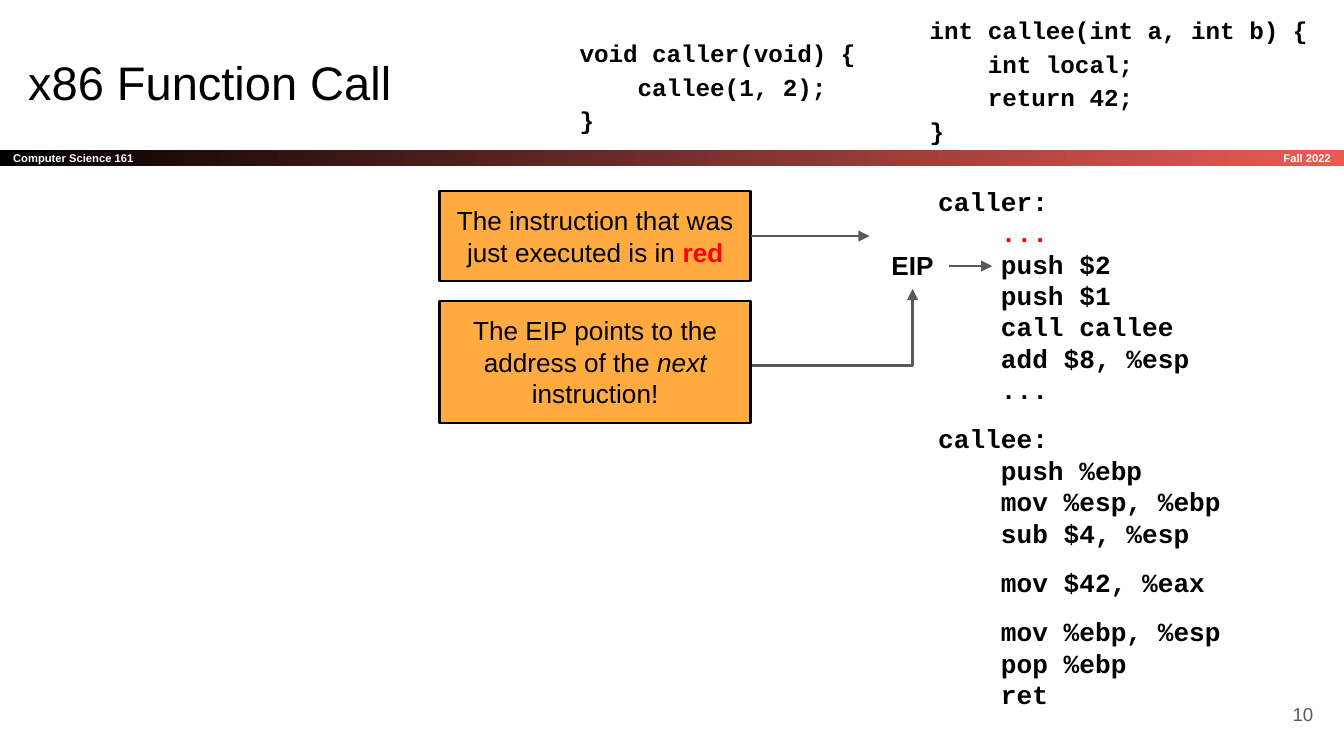
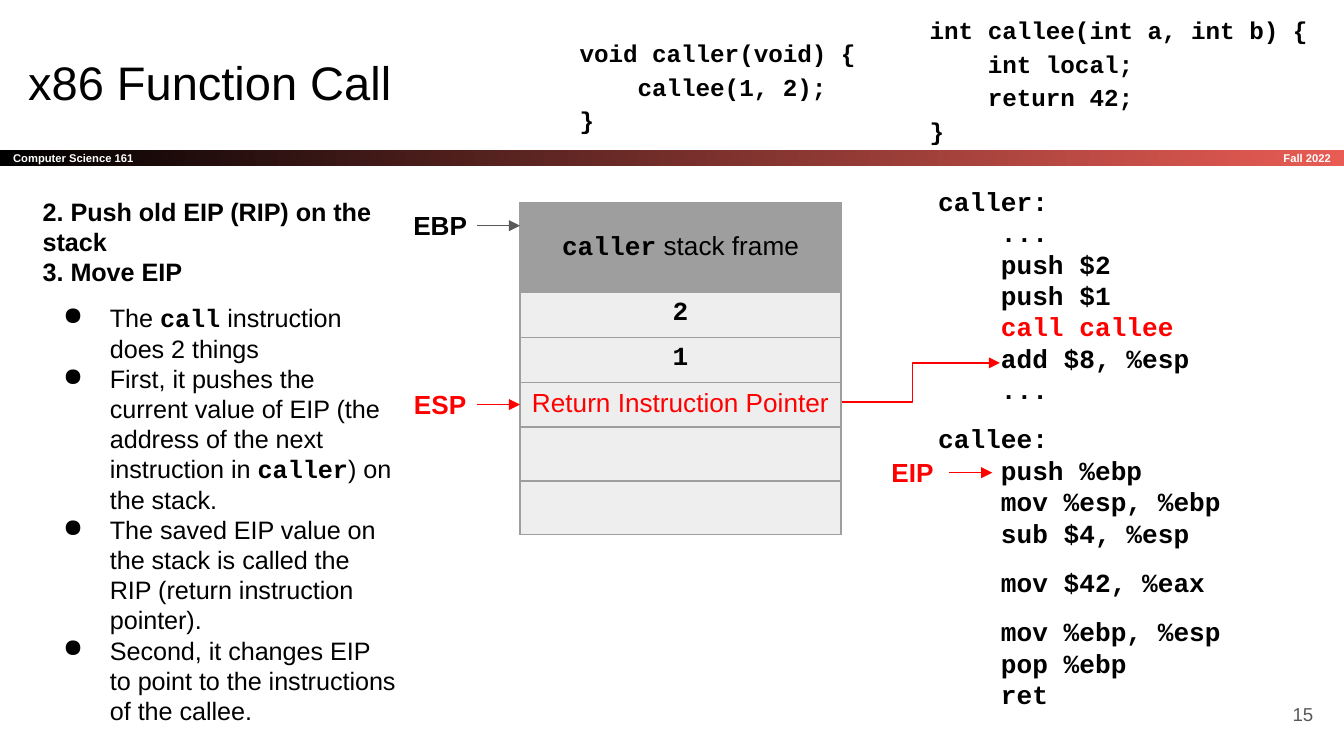
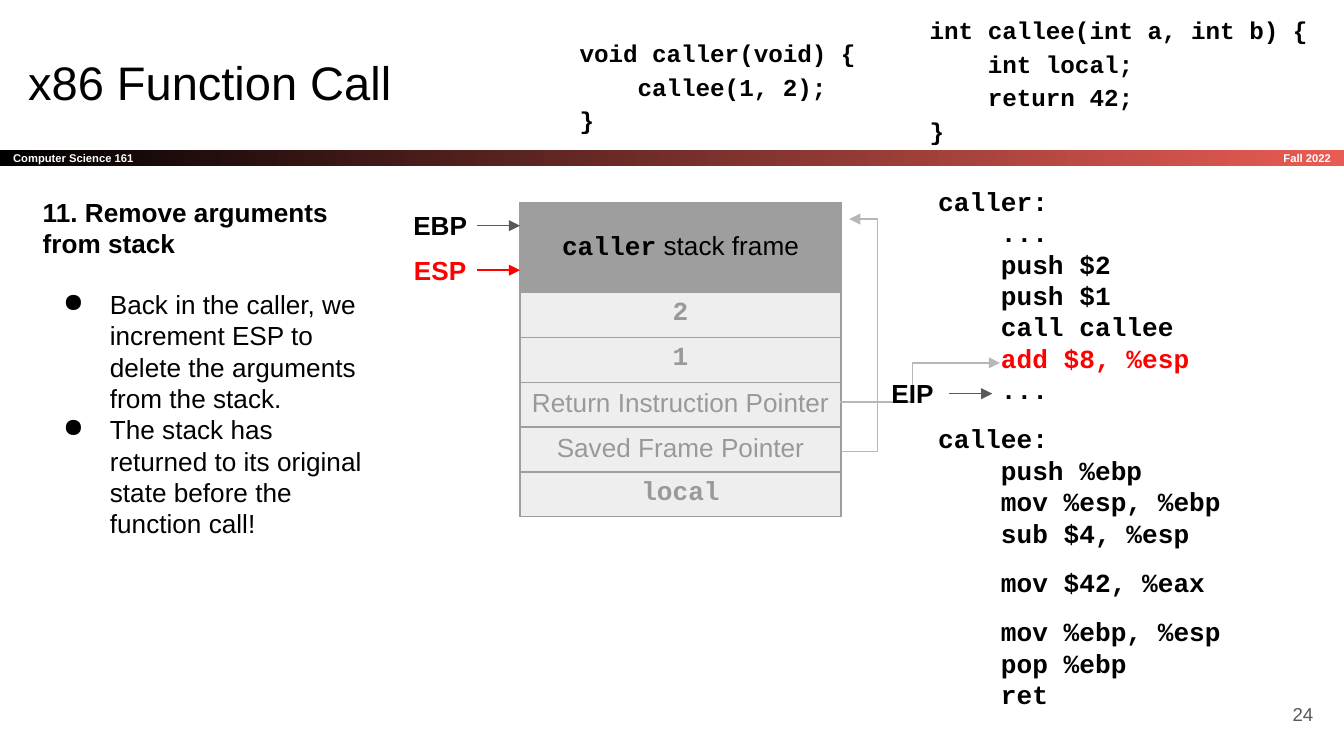
from dataclasses import dataclass
from typing import NamedTuple, Optional, Sequence

from lxml.etree import SubElement
from pptx import Presentation
from pptx.dml.color import RGBColor
from pptx.enum.shapes import MSO_CONNECTOR as ConnectorKind, MSO_SHAPE as ShapeKind
from pptx.enum.text import MSO_ANCHOR as Anchor, PP_ALIGN as Align
from pptx.oxml.ns import qn
from pptx.util import Pt

BLACK = RGBColor(0x00, 0x00, 0x00)
WHITE = RGBColor(0xFF, 0xFF, 0xFF)
RED = RGBColor(0xFF, 0x00, 0x00)
CORAL = RGBColor(0xE8, 0x5C, 0x54)
ORANGE = RGBColor(0xFF, 0xAB, 0x40)
DARK_GRAY = RGBColor(0x59, 0x59, 0x59)
FADED_TEXT = RGBColor(0x99, 0x99, 0x99)
FADED_LINE = RGBColor(0xB7, 0xB7, 0xB7)
FRAME_GRAY = RGBColor(0x9E, 0x9E, 0x9E)
CELL_GRAY = RGBColor(0xEE, 0xEE, 0xEE)

SANS = "Arial"
MONO = "Courier New"

CALLER_SOURCE = ("void caller(void) {", "    callee(1, 2);", "}")
CALLEE_SOURCE = ("int callee(int a, int b) {", "    int local;", "    return 42;", "}")
ASSEMBLY = (
    "caller:", "    ...", "    push $2", "    push $1", "    call callee",
    "    add $8, %esp", "    ...",
    "callee:", "    push %ebp", "    mov %esp, %ebp", "    sub $4, %esp",
    "    mov $42, %eax",
    "    mov %ebp, %esp", "    pop %ebp", "    ret",
)
ASSEMBLY_BLOCK_STARTS = (7, 11, 12)

STACK_LEFT, STACK_TOP, STACK_WIDTH = 278.6, 108.7, 172
FRAME_ROW_HEIGHT, STACK_ROW_HEIGHT = 48, 23
STACK_LABEL_LEFT, EIP_LABEL_LEFT = 216, 469
RETURN_ROUTE = ((450, 215.3), (489, 215.3), (489, 194.4), (535.7, 194.4))
FRAME_ROUTE = ((450.7, 241.9), (470.2, 241.9), (470.2, 117.4), (455, 117.4))


class Box(NamedTuple):
    left: float
    top: float
    width: float
    height: float

    def lengths(self) -> tuple:
        return tuple(Pt(value) for value in self)


@dataclass(frozen=True)
class Style:
    size: float
    font: str = SANS
    color: RGBColor = BLACK
    bold: bool = False


@dataclass(frozen=True)
class Span:
    text: str
    font: Optional[str] = None
    color: Optional[RGBColor] = None
    bold: Optional[bool] = None
    italic: Optional[bool] = None


@dataclass(frozen=True)
class Line:
    spans: tuple[Span, ...]
    style: Style
    gap: float = 0
    bullet: bool = False


@dataclass(frozen=True)
class Register:
    name: str
    left: float
    top: float
    active: bool = False


def line(text: str, style: Style, gap: float = 0) -> Line:
    return Line((Span(text),), style, gap)


def bullet(style: Style, *spans: Span, gap: float = 0) -> Line:
    return Line(spans, style, gap, True)


def mono(text: str) -> Span:
    return Span(text, font=MONO, bold=True)


def add_bullet(paragraph) -> None:
    properties = paragraph._p.get_or_add_pPr()
    properties.set("marL", str(Pt(36)))
    properties.set("indent", str(Pt(-25)))
    color = SubElement(properties, qn("a:buClr"))
    SubElement(color, qn("a:srgbClr")).set("val", str(BLACK))
    SubElement(properties, qn("a:buChar")).set("char", "●")


def write_lines(frame, lines: Sequence[Line], align=Align.LEFT, spacing: Optional[float] = None) -> None:
    for index, content in enumerate(lines):
        paragraph = frame.add_paragraph() if index else frame.paragraphs[0]
        if content.bullet:
            add_bullet(paragraph)
        paragraph.alignment = align
        if spacing:
            paragraph.line_spacing = spacing
        if content.gap:
            paragraph.space_before = Pt(content.gap)
        style = content.style
        paragraph.font.size = Pt(style.size)
        paragraph.font.name = style.font
        paragraph.font.bold = style.bold
        paragraph.font.color.rgb = style.color
        for span in content.spans:
            run = paragraph.add_run()
            run.text = span.text
            if span.font:
                run.font.name = span.font
            if span.color is not None:
                run.font.color.rgb = span.color
            if span.bold is not None:
                run.font.bold = span.bold
            if span.italic is not None:
                run.font.italic = span.italic


def set_frame(frame, anchor=Anchor.TOP, inset: float = 7.2) -> None:
    frame.word_wrap = True
    frame.vertical_anchor = anchor
    frame.margin_left = frame.margin_right = Pt(inset)
    frame.margin_top = frame.margin_bottom = Pt(inset)


def add_text(slide, box: Box, lines: Sequence[Line], align=Align.LEFT, anchor=Anchor.TOP,
             inset: float = 7.2, spacing: Optional[float] = None):
    shape = slide.shapes.add_textbox(*box.lengths())
    set_frame(shape.text_frame, anchor, inset)
    write_lines(shape.text_frame, lines, align, spacing)
    return shape


def add_rectangle(slide, box: Box, lines: Sequence[Line], align, anchor):
    shape = slide.shapes.add_shape(ShapeKind.RECTANGLE, *box.lengths())
    shape.shadow.inherit = False
    set_frame(shape.text_frame, anchor)
    write_lines(shape.text_frame, lines, align)
    return shape


def style_arrow(shape, color: RGBColor, width: float) -> None:
    shape.line.color.rgb = color
    shape.line.width = Pt(width)
    SubElement(shape.line._get_or_add_ln(), qn("a:tailEnd")).set("type", "triangle")


def add_arrow(slide, start: tuple, end: tuple, color: RGBColor, width: float = 0.75,
              kind=ConnectorKind.STRAIGHT):
    connector = slide.shapes.add_connector(kind, *(Pt(value) for value in (*start, *end)))
    style_arrow(connector, color, width)
    SubElement(connector._element.spPr, qn("a:effectLst"))
    return connector


def add_route(slide, points: Sequence[tuple], color: RGBColor) -> None:
    start, *rest = [(Pt(x), Pt(y)) for x, y in points]
    builder = slide.shapes.build_freeform(*start)
    builder.add_line_segments(rest, close=False)
    shape = builder.convert_to_shape()
    shape.shadow.inherit = False
    shape.fill.background()
    style_arrow(shape, color, 0.75)


def add_register(slide, register: Register) -> None:
    box = Box(register.left, register.top, 39.6, 24.5)
    style = Style(14, color=RED if register.active else BLACK, bold=True)
    label = add_text(slide, box, [line(register.name, style)], Align.CENTER, inset=3.6)
    right, middle = box.left + box.width, box.top + box.height / 2
    color = RED if register.active else DARK_GRAY
    arrow = add_arrow(slide, (right, middle), (right + 23, middle), color)
    arrow.begin_connect(label, 3)


def add_callout(slide, box: Box, *spans: Span):
    shape = add_rectangle(slide, box, [Line(spans, Style(14))], Align.CENTER, Anchor.TOP)
    shape.fill.solid()
    shape.fill.fore_color.rgb = ORANGE
    shape.line.color.rgb = BLACK
    shape.line.width = Pt(1.5)
    return shape


def fill_cell(cell, fill: RGBColor, content: Optional[Line], anchor) -> None:
    properties = cell._tc.get_or_add_tcPr()
    for side in ("lnL", "lnR", "lnT", "lnB"):
        border = SubElement(properties, qn(f"a:{side}"))
        border.set("w", str(Pt(0.75)))
        solid = SubElement(border, qn("a:solidFill"))
        SubElement(solid, qn("a:srgbClr")).set("val", str(FRAME_GRAY))
    cell.fill.solid()
    cell.fill.fore_color.rgb = fill
    set_frame(cell, anchor, 3.6)
    if content:
        write_lines(cell.text_frame, [content], Align.CENTER)


def add_stack(slide, entries: Sequence[Optional[Line]]) -> None:
    heights = [FRAME_ROW_HEIGHT] + [STACK_ROW_HEIGHT] * len(entries)
    box = Box(STACK_LEFT, STACK_TOP, STACK_WIDTH, sum(heights))
    table = slide.shapes.add_table(len(heights), 1, *box.lengths()).table
    table.first_row = table.horz_banding = False
    for row, height in zip(table.rows, heights):
        row.height = Pt(height)
    frame_title = Line((mono("caller"), Span(" stack frame")), Style(14))
    fill_cell(table.cell(0, 0), FRAME_GRAY, frame_title, Anchor.MIDDLE)
    for index, entry in enumerate(entries, start=1):
        fill_cell(table.cell(index, 0), CELL_GRAY, entry, Anchor.TOP)


def add_source(slide, box: Box, source: Sequence[str]) -> None:
    add_text(slide, box, [line(text, Style(13, MONO, bold=True)) for text in source], spacing=1.15)


def add_assembly(slide, executed: int) -> None:
    lines = [
        line(text, Style(14, MONO, RED if index == executed else BLACK, True),
             9.6 if index in ASSEMBLY_BLOCK_STARTS else 0)
        for index, text in enumerate(ASSEMBLY)
    ]
    add_text(slide, Box(495.5, 92, 204, 306), lines)


def add_base(presentation, number: int):
    slide = presentation.slides.add_slide(presentation.slide_layouts[6])
    band_style = Style(6, color=WHITE, bold=True)
    band = add_rectangle(slide, Box(0, 80.2, 720, 8.6), [line("Computer Science 161", band_style)],
                         Align.LEFT, Anchor.MIDDLE)
    band.line.fill.background()
    band.fill.gradient()
    band.fill.gradient_angle = 0
    for stop, color, position in zip(band.fill.gradient_stops, (BLACK, CORAL), (0, 1)):
        stop.color.rgb = color
        stop.position = position
    add_text(slide, Box(600.5, 80.2, 119.5, 8.6), [line("Fall 2022", band_style)],
             Align.RIGHT, Anchor.MIDDLE)
    add_text(slide, Box(8, 21.6, 671, 45.4), [line("x86 Function Call", Style(25.2))])
    add_text(slide, Box(667.4, 367.2, 43.2, 31), [line(str(number), Style(10, color=DARK_GRAY))],
             Align.RIGHT, Anchor.MIDDLE)
    add_source(slide, Box(303.4, 11, 180, 67.7), CALLER_SOURCE)
    add_source(slide, Box(491, -1.2, 219.6, 85), CALLEE_SOURCE)
    return slide


def build_legend_slide(presentation) -> None:
    slide = add_base(presentation, 10)
    add_assembly(slide, 1)
    executed = add_callout(slide, Box(235.6, 102.4, 166.6, 48.2),
                           Span("The instruction that was just executed is in "),
                           Span("red", color=RED, bold=True))
    arrow = add_arrow(slide, (402.2, 126.5), (465.8, 126.5), DARK_GRAY, 1.5)
    arrow.begin_connect(executed, 3)
    add_callout(slide, Box(235.6, 161.3, 166.6, 65.4),
                Span("The EIP points to the address of the "),
                Span("next", italic=True), Span(" instruction!"))
    elbow = add_arrow(slide, (402.8, 196), (488.9, 154.8), DARK_GRAY, 1.5, ConnectorKind.ELBOW)
    elbow._element.spPr.find(qn("a:prstGeom")).set("prst", "bentConnector2")
    add_register(slide, Register("EIP", EIP_LABEL_LEFT, 130.3))


def build_call_slide(presentation) -> None:
    slide = add_base(presentation, 15)
    add_route(slide, RETURN_ROUTE, RED)
    add_assembly(slide, 4)
    value = Style(14, MONO, bold=True)
    add_stack(slide, [line("2", value), line("1", value),
                      line("Return Instruction Pointer", Style(14, color=RED)), None, None])
    heading, body = Style(13.5, bold=True), Style(13.5)
    add_text(slide, Box(15.8, 98, 204, 296.6), [
        line("2. Push old EIP (RIP) on the stack", heading),
        line("3. Move EIP", heading),
        bullet(body, Span("The "), mono("call"), Span(" instruction does 2 things"), gap=8.4),
        bullet(body, Span("First, it pushes the current value of EIP "
                          "(the address of the next instruction in "),
               mono("caller"), Span(") on the stack.")),
        bullet(body, Span("The saved EIP value on the stack is called the RIP "
                          "(return instruction pointer).")),
        bullet(body, Span("Second, it changes EIP to point to the instructions of the callee.")),
    ])
    for register in (Register("EBP", STACK_LABEL_LEFT, 108.7),
                     Register("ESP", STACK_LABEL_LEFT, 204.5, True),
                     Register("EIP", EIP_LABEL_LEFT, 241, True)):
        add_register(slide, register)


def build_cleanup_slide(presentation) -> None:
    slide = add_base(presentation, 24)
    add_assembly(slide, 5)
    value, pointer = Style(14, MONO, FADED_TEXT, True), Style(14, color=FADED_TEXT)
    add_stack(slide, [line("2", value), line("1", value),
                      line("Return Instruction Pointer", pointer),
                      line("Saved Frame Pointer", pointer), line("local", value)])
    add_route(slide, FRAME_ROUTE, FADED_LINE)
    add_text(slide, Box(15.8, 98, 193, 296.6), [
        line("11. Remove arguments from stack", Style(14, bold=True)),
        bullet(Style(14), Span("Back in the caller, we increment ESP to delete "
                               "the arguments from the stack."), gap=15.6),
        bullet(Style(14), Span("The stack has returned to its original state "
                               "before the function call!")),
    ])
    add_route(slide, RETURN_ROUTE, FADED_LINE)
    for register in (Register("EBP", STACK_LABEL_LEFT, 108.7),
                     Register("ESP", STACK_LABEL_LEFT, 132.5, True),
                     Register("EIP", EIP_LABEL_LEFT, 198.7)):
        add_register(slide, register)


def main() -> None:
    presentation = Presentation()
    presentation.slide_width = Pt(720)
    presentation.slide_height = Pt(405)
    build_legend_slide(presentation)
    build_call_slide(presentation)
    build_cleanup_slide(presentation)
    presentation.save("out.pptx")


if __name__ == "__main__":
    main()
